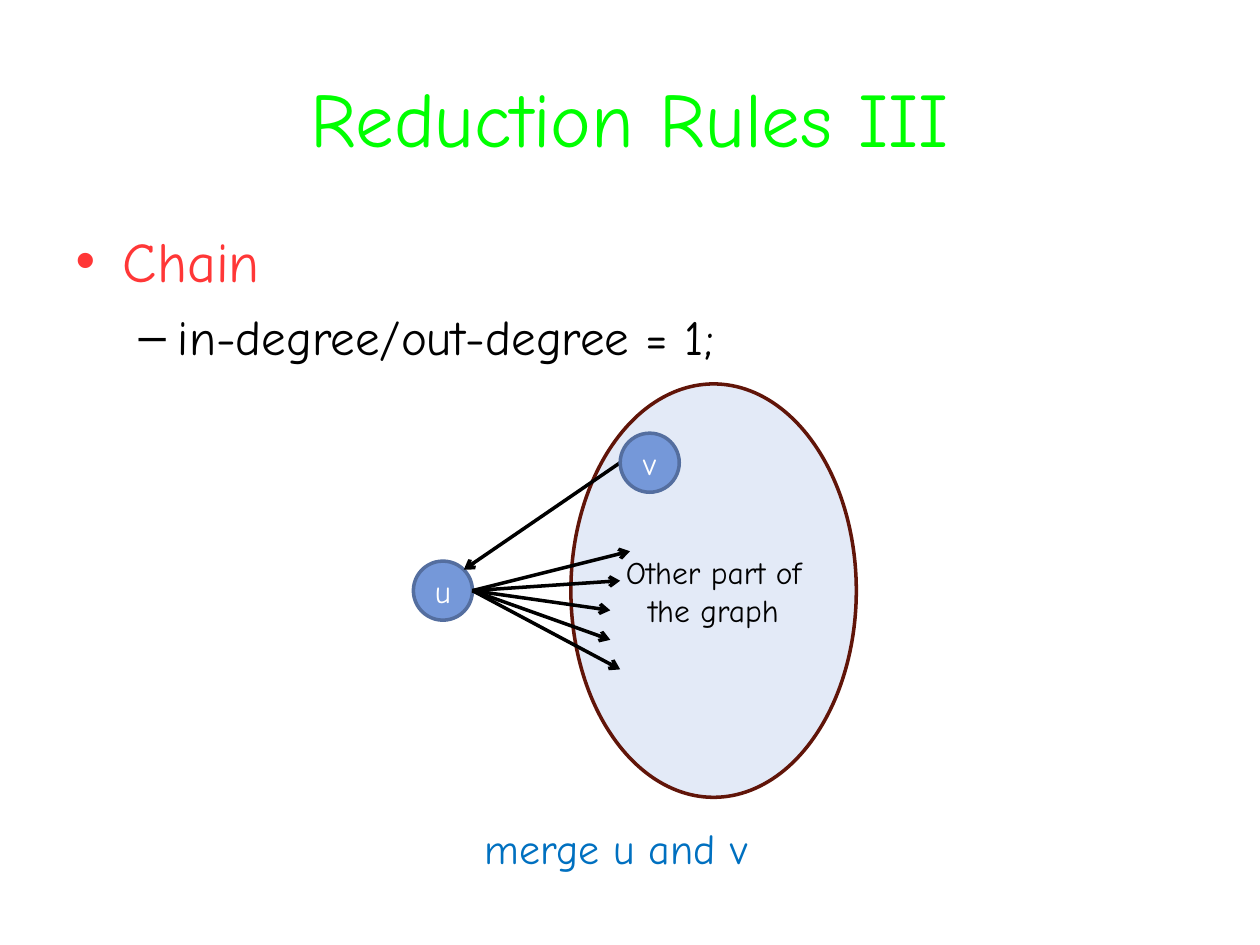
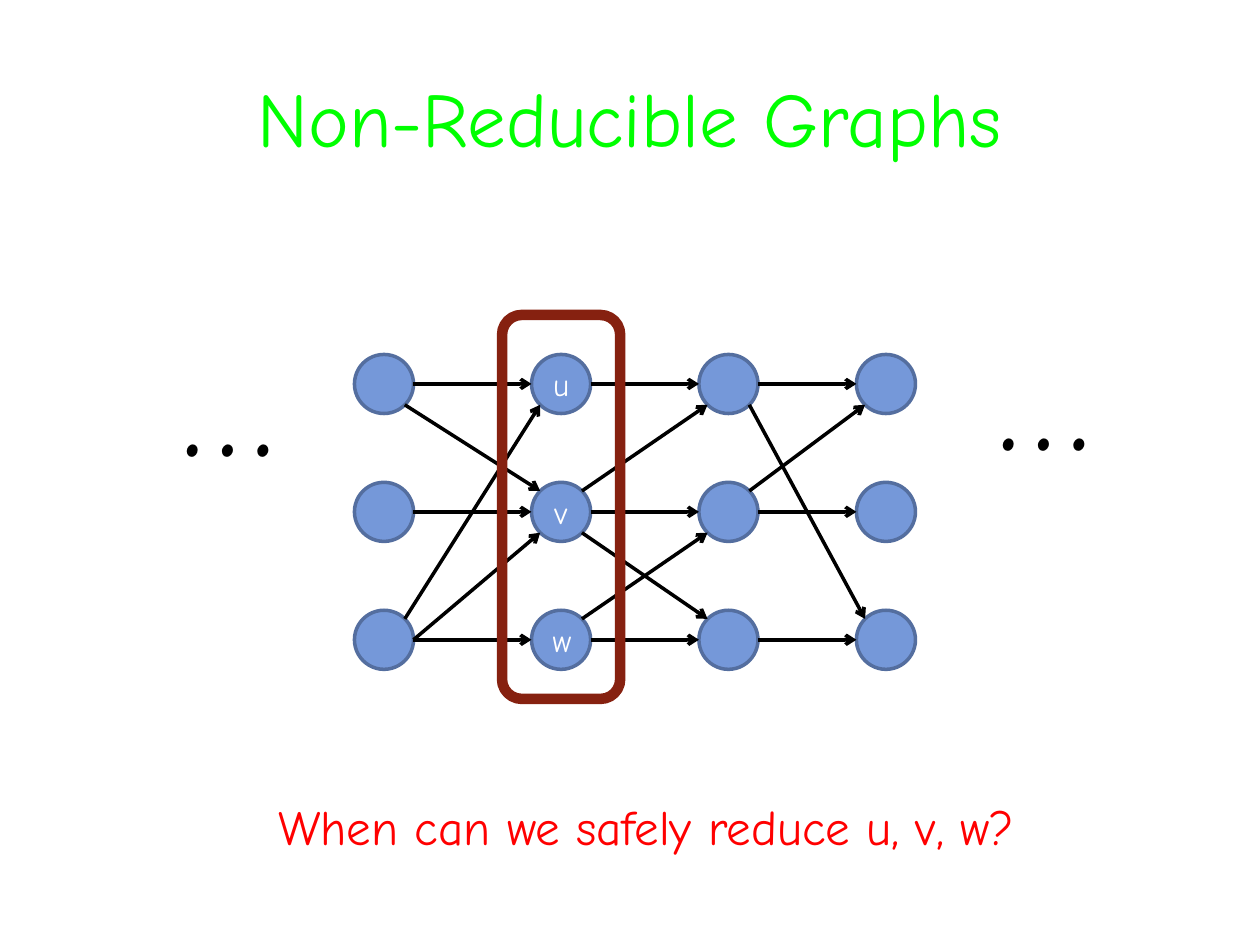
from math import sqrt

from lxml import etree
from pptx import Presentation
from pptx.dml.color import RGBColor
from pptx.enum.shapes import MSO_CONNECTOR, MSO_SHAPE
from pptx.enum.text import MSO_ANCHOR, MSO_AUTO_SIZE, PP_ALIGN
from pptx.oxml.ns import qn
from pptx.util import Pt

OVAL, ROUNDED = MSO_SHAPE.OVAL, MSO_SHAPE.ROUNDED_RECTANGLE
STRAIGHT = MSO_CONNECTOR.STRAIGHT
MIDDLE, TOP = MSO_ANCHOR.MIDDLE, MSO_ANCHOR.TOP
LEFT, CENTER = PP_ALIGN.LEFT, PP_ALIGN.CENTER
NO_AUTOFIT = MSO_AUTO_SIZE.NONE
TITLE_AND_BODY, TITLE_ONLY = 1, 5

# Shared style
FONT = "Comic Neue"
BLACK, WHITE, GREEN = "000000", "FFFFFF", "00FF00"
NODE_FILL, NODE_LINE = "7598D9", "546E9F"
TITLE_BOX = (36, 21.6, 648, 90)
NODE_SIZE = 33.75
NODE_RADIUS = NODE_SIZE / 2
DIAGONAL = 1 / sqrt(2)
PORTS = {
    "E": (1, 0), "W": (-1, 0),
    "NE": (DIAGONAL, -DIAGONAL), "SE": (DIAGONAL, DIAGONAL),
    "NW": (-DIAGONAL, -DIAGONAL), "SW": (-DIAGONAL, DIAGONAL),
}

# Slide 1: text, size, colour, bullet, left margin, hanging indent, space before
CHAIN_RULES = [
    ("Chain", 32, "FF3737", "•", 27, 27, 0),
    ("in-degree/out-degree = 1;", 28, BLACK, "–", 58.5, 22.5, 7),
]
CHAIN_U, CHAIN_V = (253.1, 337.5), (371.25, 264.4)
FAN_X = [360, 354.4, 348.75, 348.75, 354.4]
FAN_TOP, FAN_STEP = 315, 16.88

# Slide 2: node centres by column and row, and the arrows between them
COLUMN_X = [219.4, 320.6, 416.25, 506.25]
ROW_Y = [219.4, 292.5, 365.6]
NODE_NAMES = {(1, 0): "u", (1, 1): "v", (1, 2): "w"}
CROSS_EDGES = [
    ((0, 0), "SE", (1, 1), "NW"),
    ((0, 2), "NE", (1, 0), "SW"),
    ((0, 2), "E", (1, 1), "SW"),
    ((1, 1), "NE", (2, 0), "SW"),
    ((1, 1), "SE", (2, 2), "NW"),
    ((1, 2), "NE", (2, 1), "SW"),
    ((2, 1), "NE", (3, 0), "SW"),
    ((2, 0), "SE", (3, 2), "NW"),
]
ELLIPSIS_BOXES = [(95.8, 177.1, 69.1, 103.7), (562.3, 174.2, 69.1, 103.7)]


def color(hex_value):
    return RGBColor.from_string(hex_value)


def points(values):
    return [Pt(value) for value in values]


def style_paragraph(paragraph, size, hex_value, align):
    paragraph.alignment = align
    for run in paragraph.runs:
        run.font.name = FONT
        run.font.size = Pt(size)
        run.font.color.rgb = color(hex_value)


def write(frame, text, size, hex_value, align=CENTER, anchor=MIDDLE):
    frame.text = text
    frame.word_wrap = True
    frame.auto_size = NO_AUTOFIT
    frame.vertical_anchor = anchor
    style_paragraph(frame.paragraphs[0], size, hex_value, align)


def place(placeholder, box):
    placeholder.left, placeholder.top, placeholder.width, placeholder.height = points(box)


def add_titled_slide(deck, layout, title):
    slide = deck.slides.add_slide(deck.slide_layouts[layout])
    place(slide.shapes.title, TITLE_BOX)
    write(slide.shapes.title.text_frame, title, 44, GREEN)
    return slide


def add_label(slide, box, text, size, hex_value, align=CENTER):
    label = slide.shapes.add_textbox(*points(box))
    write(label.text_frame, text, size, hex_value, align, TOP)


def add_outline(slide, kind, box, fill, line, width):
    outline = slide.shapes.add_shape(kind, *points(box))
    outline.shadow.inherit = False
    if fill:
        outline.fill.solid()
        outline.fill.fore_color.rgb = color(fill)
    else:
        outline.fill.background()
    outline.line.color.rgb = color(line)
    outline.line.width = Pt(width)
    return outline


def add_node(slide, center, name=None):
    x, y = center
    box = (x - NODE_RADIUS, y - NODE_RADIUS, NODE_SIZE, NODE_SIZE)
    node = add_outline(slide, OVAL, box, NODE_FILL, NODE_LINE, 2)
    if name:
        write(node.text_frame, name, 18, WHITE)


def port(center, side):
    dx, dy = PORTS[side]
    return center[0] + dx * NODE_RADIUS, center[1] + dy * NODE_RADIUS


def add_arrow(slide, start, end):
    arrow = slide.shapes.add_connector(STRAIGHT, *points((*start, *end)))
    arrow.line.color.rgb = color(BLACK)
    arrow.line.width = Pt(2)
    etree.SubElement(arrow.line._get_or_add_ln(), qn("a:tailEnd"), type="arrow")
    etree.SubElement(arrow._element.spPr, qn("a:effectLst"))


def add_bullet(paragraph, symbol, hex_value, margin, hanging):
    properties = paragraph._p.get_or_add_pPr()
    properties.set("marL", str(Pt(margin)))
    properties.set("indent", str(-Pt(hanging)))
    bullet_color = etree.SubElement(properties, qn("a:buClr"))
    etree.SubElement(bullet_color, qn("a:srgbClr"), val=hex_value)
    etree.SubElement(properties, qn("a:buChar"), char=symbol)


def build_chain_slide(deck):
    slide = add_titled_slide(deck, TITLE_AND_BODY, "Reduction Rules III")

    # Rule list
    rules = slide.placeholders[1]
    place(rules, (36, 126, 648, 356.4))
    frame = rules.text_frame
    frame.text = "\n".join(rule[0] for rule in CHAIN_RULES)
    frame.auto_size = NO_AUTOFIT
    for level, (paragraph, rule) in enumerate(zip(frame.paragraphs, CHAIN_RULES)):
        _, size, hex_value, symbol, margin, hanging, before = rule
        paragraph.level = level
        add_bullet(paragraph, symbol, hex_value, margin, hanging)
        paragraph.space_before = Pt(before)
        style_paragraph(paragraph, size, hex_value, LEFT)

    # Graph with the chain from v to u
    rest = add_outline(slide, OVAL, (326.25, 219.4, 163.1, 236.25), "E3EAF7", "611509", 2)
    write(rest.text_frame, "Other part of the graph", 18, BLACK)
    add_node(slide, CHAIN_U, "u")
    add_arrow(slide, port(CHAIN_V, "W"), port(CHAIN_U, "NE"))
    add_node(slide, CHAIN_V, "v")
    for step, x in enumerate(FAN_X):
        add_arrow(slide, port(CHAIN_U, "E"), (x, FAN_TOP + step * FAN_STEP))

    add_label(slide, (270, 466.6, 196.6, 36), "merge u and v", 24, "0070C0", LEFT)


def build_non_reducible_slide(deck):
    slide = add_titled_slide(deck, TITLE_ONLY, "Non-Reducible Graphs")
    centers = {
        (column, row): (x, y)
        for column, x in enumerate(COLUMN_X)
        for row, y in enumerate(ROW_Y)
    }

    # Layered graph: every row runs left to right, then the crossings
    for key, center in centers.items():
        add_node(slide, center, NODE_NAMES.get(key))
    row_edges = [
        ((column, row), "E", (column + 1, row), "W")
        for column in range(len(COLUMN_X) - 1)
        for row in range(len(ROW_Y))
    ]
    for source, leaving, target, entering in row_edges + CROSS_EDGES:
        add_arrow(slide, port(centers[source], leaving), port(centers[target], entering))
    for box in ELLIPSIS_BOXES:
        add_label(slide, box, "…", 80, BLACK)

    # Frame around u, v, w and the question
    add_outline(slide, ROUNDED, (286.9, 180, 67.5, 219.4), None, "862110", 6)
    add_label(slide, (133.2, 451.4, 472.3, 41), "When can we safely reduce u, v, w?", 28, "FF0000")


def main():
    deck = Presentation()
    deck.slide_width, deck.slide_height = Pt(720), Pt(540)
    build_chain_slide(deck)
    build_non_reducible_slide(deck)
    deck.save("out.pptx")


if __name__ == "__main__":
    main()
